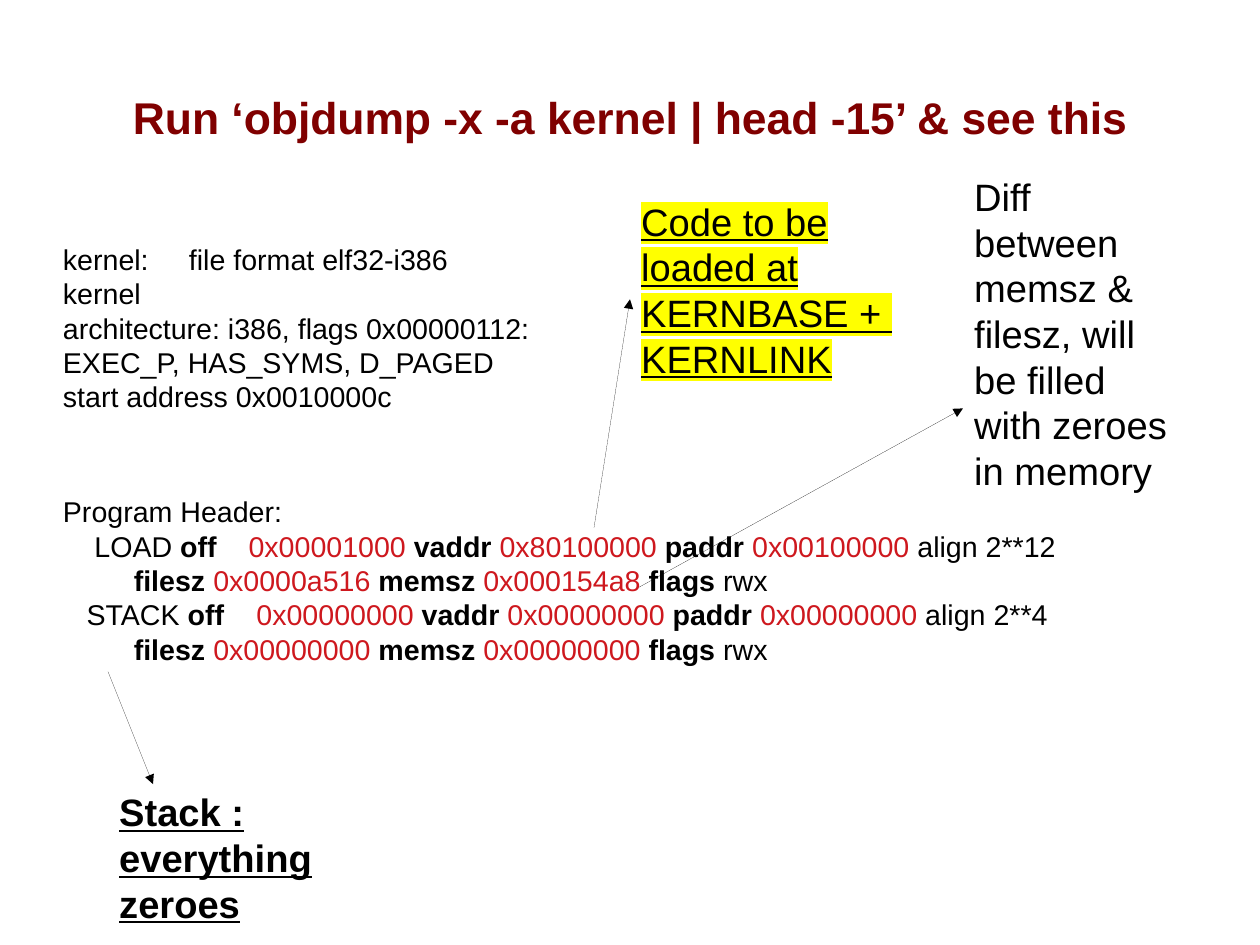
from pptx import Presentation
from pptx.dml.color import RGBColor as RGB
from pptx.enum.shapes import MSO_CONNECTOR as LINK
from pptx.enum.text import MSO_ANCHOR as ANCHOR, PP_ALIGN as ALIGN
from pptx.oxml.ns import qn
from pptx.util import Pt
from lxml.etree import SubElement as Sub

PX = 9000
SIZE = (1120, 840)
BLACK = RGB(0, 0, 0)
MAROON = RGB(0x80, 0, 0)
RED = RGB(0xCE, 0x18, 0x1E)
YELLOW = RGB(0xFF, 0xFF, 0)

TITLE = "Run ‘objdump -x -a kernel | head -15’ & see this"
INTRO = [
    ("kernel:\tfile format elf32-i386", (112,)),
    ("kernel", ()),
    ("architecture: i386, flags 0x00000112:", ()),
    ("EXEC_P, HAS_SYMS, D_PAGED", ()),
    ("start address 0x0010000c", ()),
]
HEAD = "Program Header:"
ROWS = [
    ("\tLOAD ", (28, 165),
     [("off\t", "0x00001000 "), ("vaddr ", "0x80100000 "),
      ("paddr ", "0x00100000")], " align 2**12"),
    ("\t", (63,),
     [("filesz ", "0x0000a516 "), ("memsz ", "0x000154a8 "),
      ("flags", "")], " rwx"),
    ("\tSTACK ", (21, 172),
     [("off\t", "0x00000000 "), ("vaddr ", "0x00000000 "),
      ("paddr ", "0x00000000")], " align 2**4"),
    ("\t", (63,),
     [("filesz ", "0x00000000 "), ("memsz ", "0x00000000 "),
      ("flags", "")], " rwx"),
]
NOTES = [
    ("Code to be loaded at KERNBASE +  KERNLINK",
     (560, 171, 280, 162), False, True, YELLOW),
    ("Diff between memsz & filesz, will be filled with zeroes in memory",
     (856, 149, 192, 274), False, False, None),
    ("Stack : everything zeroes",
     (96, 696, 248, 162), True, True, None),
]
ARROWS = [
    (528, 469, 560, 266),
    (568, 522, 856, 363),
    (96, 597, 136, 697),
]


def scale(nums):
    return [n * PX for n in nums]


def add_box(slide, area, pad, anchor):
    frame = slide.shapes.add_textbox(*scale(area)).text_frame
    frame.word_wrap = True
    frame.vertical_anchor = anchor
    (frame.margin_left, frame.margin_top,
     frame.margin_right, frame.margin_bottom) = scale(pad)
    return frame


def style(para, size, color=BLACK, bold=False, under=False):
    font = para.font
    font.name = "Arial"
    font.size = Pt(size)
    font.bold = bold
    font.underline = under
    font.color.rgb = color


def add_run(para, text, bold=None, color=None):
    run = para.add_run()
    run.text = text
    if bold:
        run.font.bold = True
    if color is not None:
        run.font.color.rgb = color
    return run


def set_tabs(para, stops):
    if stops:
        prop = para._p.get_or_add_pPr()
        tabs = prop.makeelement(qn("a:tabLst"))
        prop.insert(0, tabs)
        for stop in stops:
            Sub(tabs, qn("a:tab"), pos=str(stop * PX), algn="l")


def mark(run, color):
    light = Sub(run.font._element, qn("a:highlight"))
    Sub(light, qn("a:srgbClr"), val=str(color))


def add_title(slide):
    frame = add_box(slide, (56, 34, 1008, 140), (0, 0, 0, 0), ANCHOR.MIDDLE)
    para = frame.paragraphs[0]
    para.alignment = ALIGN.CENTER
    style(para, 28, MAROON, True)
    add_run(para, TITLE)


def add_dump(slide):
    frame = add_box(slide, (56, 182, 1008, 514), (0, 0, 0, 71), ANCHOR.MIDDLE)
    plain = [(text, stops, [], "") for text, stops in INTRO + [(HEAD, ())]]
    for i, (lead, stops, pairs, tail) in enumerate(plain + ROWS):
        para = frame.add_paragraph() if i else frame.paragraphs[0]
        style(para, 18)
        set_tabs(para, stops)
        if lead == HEAD:
            para.space_before = Pt(51)
        add_run(para, lead)
        for key, value in pairs:
            add_run(para, key, bold=True)
            if value:
                add_run(para, value, color=RED)
        if tail:
            add_run(para, tail)


def add_note(slide, text, area, bold, under, light):
    frame = add_box(slide, area, (10, 5, 10, 5), ANCHOR.TOP)
    para = frame.paragraphs[0]
    style(para, 24, BLACK, bold, under)
    run = add_run(para, text)
    if light is not None:
        mark(run, light)


def add_arrow(slide, ends):
    link = slide.shapes.add_connector(LINK.STRAIGHT, *scale(ends))
    link.line.color.rgb = BLACK
    line = link.line._get_or_add_ln()
    line.set("w", "0")
    Sub(line, qn("a:tailEnd"), type="triangle")
    Sub(link._element.spPr, qn("a:effectLst"))


def main():
    deck = Presentation()
    deck.slide_width, deck.slide_height = scale(SIZE)
    slide = deck.slides.add_slide(deck.slide_layouts[6])
    add_title(slide)
    add_dump(slide)
    for ends in ARROWS:
        add_arrow(slide, ends)
    for note in NOTES:
        add_note(slide, *note)
    deck.save("out.pptx")


if __name__ == "__main__":
    main()
